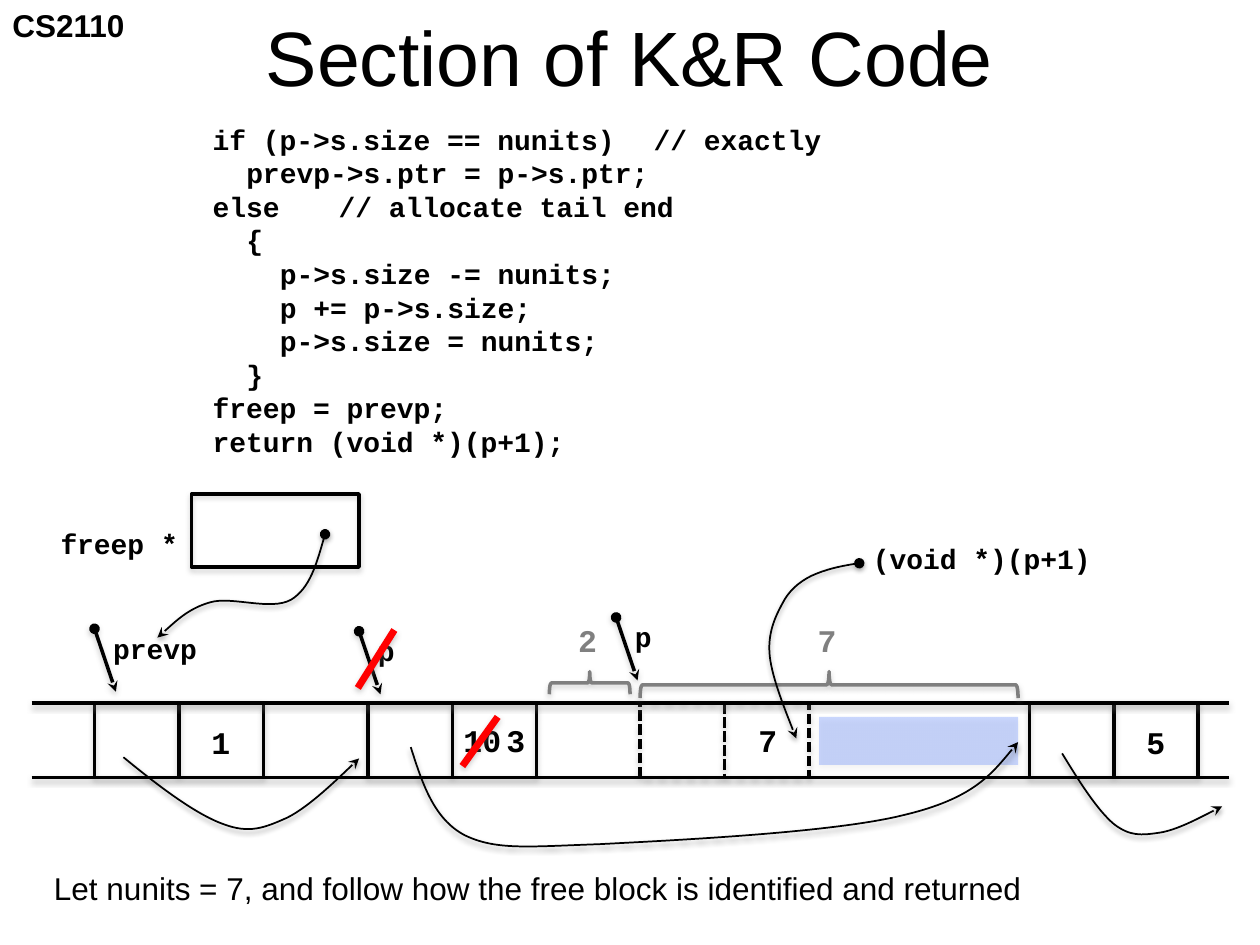
from dataclasses import dataclass

from lxml import etree
from pptx import Presentation
from pptx import util as u
from pptx.dml import color
from pptx.enum import dml, shapes, text
from pptx.oxml import ns


@dataclass(frozen=True)
class Theme:
    ink: str = "000000"
    shade: str = "808080"
    brace: str = "7F7F7F"
    strike: str = "FF0000"
    block: str = "3366FF"
    sans: str = "Arial"
    mono: str = "Courier New"
    title: int = 44
    body: int = 18
    code: int = 16


T = Theme()
I = u.Inches
CELL, ROW = 0.67, 0.59
CHAR = 0.13333


def rgb(value):
    return color.RGBColor.from_string(value)


def sub(parent, tag, **attrs):
    return etree.SubElement(parent, ns.qn(tag), {k: str(v) for k, v in attrs.items()})


def add_text(s, content, x, y, w, h=0.4, font=T.mono, size=T.body, ink=T.ink,
             bold=True, align="LEFT", anchor="TOP", wrap=False):
    sp = s.shapes.add_textbox(I(x), I(y), I(w), I(h))
    tf = sp.text_frame
    tf.word_wrap = wrap
    tf.vertical_anchor = getattr(text.MSO_ANCHOR, anchor)
    for i, line in enumerate(content.split("\n")):
        p = tf.paragraphs[0] if i == 0 else tf.add_paragraph()
        p.alignment = getattr(text.PP_ALIGN, align)
        r = p.add_run()
        r.text = line
        r.font.name, r.font.size, r.font.bold = font, u.Pt(size), bold
        r.font.color.rgb = rgb(ink)
    return tf


def add_shadow(sp, ink=T.shade, alpha=38):
    effects = sub(sp._element.spPr, "a:effectLst")
    shadow = sub(effects, "a:outerShdw", blurRad=u.Pt(3.1), dist=u.Pt(1.7),
                 dir=5400000, rotWithShape=0)
    sub(sub(shadow, "a:srgbClr", val=ink), "a:alpha", val=alpha * 1000)


def set_line(sp, ink=T.ink, width=2, dashed=False, head=None, tail=None):
    sp.line.color.rgb = rgb(ink)
    sp.line.width = u.Pt(width)
    if dashed:
        sp.line.dash_style = dml.MSO_LINE.SQUARE_DOT
    ln = sp._element.spPr.find(ns.qn("a:ln"))
    for tag, kind in (("a:headEnd", head), ("a:tailEnd", tail)):
        if kind:
            sub(ln, tag, type=kind)


def add_line(s, x1, y1, x2, y2, **style):
    c = s.shapes.add_connector(shapes.MSO_CONNECTOR.STRAIGHT, I(x1), I(y1), I(x2), I(y2))
    set_line(c, **style)
    add_shadow(c)
    return c


def add_outline(s, kind, x, y, w, h, **style):
    sp = s.shapes.add_shape(getattr(shapes.MSO_SHAPE, kind), I(x), I(y), I(w), I(h))
    sp.fill.background()
    set_line(sp, **style)
    add_shadow(sp, alpha=35)
    return sp


def add_curve(s, points, head=None):
    (x, y), *rest = [(I(a), I(b)) for a, b in points]
    builder = s.shapes.build_freeform(x, y)
    builder.add_line_segments(rest, close=False)
    sp = builder.convert_to_shape()
    segments = list(sp._element.spPr.iter(ns.qn("a:lnTo")))
    for a, b, c in zip(segments[::3], segments[1::3], segments[2::3]):
        bezier = etree.Element(ns.qn("a:cubicBezTo"))
        a.addprevious(bezier)
        for segment in (a, b, c):
            bezier.append(segment[0])
            segment.getparent().remove(segment)
    sp.fill.background()
    set_line(sp, width=1, head=head, tail="stealth")
    add_shadow(sp, ink=T.ink)


def add_header(s, x, y, w):
    add_text(s, "CS2110", x, y, 1.1, font=T.sans)
    add_text(s, "Section of K&R Code", x + 0.5, y + 0.13, w - 1, 0.62, font=T.sans,
             size=T.title, bold=False, align="CENTER", anchor="MIDDLE", wrap=True)


def add_code(s, x, y, w, h):
    lines = [
        (0, "if (p->s.size == nunits)\t// exactly"),
        (2, "prevp->s.ptr = p->s.ptr;"),
        (0, "else\t// allocate tail end"),
        (2, "{"),
        (4, "p->s.size -= nunits;"),
        (4, "p += p->s.size;"),
        (4, "p->s.size = nunits;"),
        (2, "}"),
        (0, "freep = prevp;"),
        (0, "return (void *)(p+1);"),
    ]
    tf = add_text(s, "\n".join(line for _, line in lines), x, y, w, h, size=T.code)
    for p, (indent, line) in zip(tf.paragraphs, lines):
        pPr = p._p.get_or_add_pPr()
        pPr.set("marL", str(I(indent * CHAR)))
        pPr.set("indent", "0")
        if "\t" in line:
            sub(sub(pPr, "a:tabLst"), "a:tab", pos=I(35 * CHAR), algn="l")


def add_block(s, x, y, dashed=False):
    box = add_outline(s, "RECTANGLE", x, y, 2 * CELL, ROW, dashed=dashed)
    divider = add_line(s, x + CELL, y, x + CELL, y + ROW, dashed=dashed)
    divider.begin_connect(box, 0)
    divider.end_connect(box, 2)


def add_memory(s, x, y, w):
    sp = s.shapes.add_shape(shapes.MSO_SHAPE.RECTANGLE, I(x + 6.25), I(y + 0.11), I(1.58), I(0.38))
    sp.fill.solid()
    sp.fill.fore_color.rgb = rgb(T.block)
    fill = sp._element.spPr.find(ns.qn("a:solidFill"))
    sub(fill[0], "a:alpha", val=25000)
    sp.line.fill.background()
    add_shadow(sp, alpha=35)
    add_block(s, x + 4.83, y, dashed=True)
    for dx in (0.5, 2.67, 7.92):
        add_block(s, x + dx, y)
    for edge in (y, y + ROW):
        add_line(s, x, edge, x + w, edge)
    for value, dx, dy in (("1", 1.33, 0.11), ("10", 3.33, 0.09), ("3", 3.67, 0.09),
                          ("7", 5.67, 0.09), ("5", 8.75, 0.11)):
        add_text(s, value, x + dx, y + dy, 0.18 + 0.16 * len(value))


def add_brace(s, label, x, y, w, h):
    sp = add_outline(s, "LEFT_BRACE", x + (w - h) / 2, y + (h - w) / 2, h, w, ink=T.brace)
    sp.rotation = 90
    sp.adjustments[0] = 0.083
    add_text(s, label, x + w / 2 - 0.19, 4.88, 0.35, ink=T.shade)


def add_pointer(s, label, x, y):
    add_line(s, x, y, x + 0.17, y + 0.5, head="oval", tail="stealth")
    add_text(s, label, x + 0.05, y - 0.03, 0.2 + CHAR * len(label), 0.37, size=T.code)


def add_freep(s, x, y):
    add_outline(s, "RECTANGLE", x + 1.15, y, 1.33, 0.58)
    add_text(s, "freep *", x, y + 0.21, 1.14, 0.37, size=T.code, align="RIGHT")


def add_links(s):
    add_curve(s, [(0.98, 6.01), (1.26, 6.24), (1.55, 6.46), (1.77, 6.54), (1.98, 6.62),
                  (2.1, 6.57), (2.28, 6.49), (2.46, 6.4), (2.85, 6.02), (2.85, 6.02)])
    add_curve(s, [(8.43, 5.98), (8.57, 6.21), (8.71, 6.43), (8.84, 6.54), (8.97, 6.64),
                  (9.06, 6.63), (9.2, 6.61), (9.34, 6.59), (9.7, 6.4), (9.7, 6.4)])
    add_curve(s, [(3.26, 5.93), (3.35, 6.21), (3.44, 6.5), (3.69, 6.63), (3.94, 6.75),
                  (4.19, 6.72), (4.76, 6.7), (5.34, 6.67), (6.61, 6.61), (7.17, 6.47),
                  (7.72, 6.34), (7.9, 6.11), (8.08, 5.89)])
    add_curve(s, [(2.58, 4.24), (2.52, 4.45), (2.46, 4.67), (2.31, 4.76), (2.15, 4.85),
                  (1.84, 4.73), (1.67, 4.78), (1.49, 4.83), (1.25, 5.06), (1.25, 5.06)],
              head="oval")
    add_curve(s, [(6.82, 4.47), (6.68, 4.49), (6.55, 4.52), (6.44, 4.57), (6.34, 4.62),
                  (6.26, 4.69), (6.21, 4.79), (6.15, 4.9), (6.09, 5.03), (6.11, 5.21),
                  (6.13, 5.39), (6.32, 5.86), (6.32, 5.86)], head="oval")


def main():
    prs = Presentation()
    prs.slide_width, prs.slide_height = I(10), I(7.5)
    s = prs.slides.add_slide(prs.slide_layouts[6])
    add_header(s, 0, 0, 10)
    add_code(s, 1.59, 0.92, 7.63, 2.79)
    add_memory(s, 0.25, 5.58, 9.5)
    add_brace(s, "2", 4.36, 5.33, 0.64, 0.18)
    add_brace(s, "7", 5.08, 5.33, 3, 0.21)
    for label, x, y in (("prevp", 0.75, 4.99), ("p", 2.85, 5.01), ("p", 4.89, 4.9)):
        add_pointer(s, label, x, y)
    add_freep(s, 0.37, 3.92)
    add_text(s, "(void *)(p+1)", 6.83, 4.25, 1.95, 0.37, size=T.code)
    add_links(s)
    for ends in ((3.67, 6.08, 3.95, 5.69), (2.84, 5.46, 3.13, 5)):
        add_line(s, *ends, ink=T.strike, width=4)
    add_text(s, "Let nunits = 7, and follow how the free block is identified and returned",
             0.33, 6.85, 7.95, font=T.sans, bold=False)
    prs.save("out.pptx")


if __name__ == "__main__":
    main()
